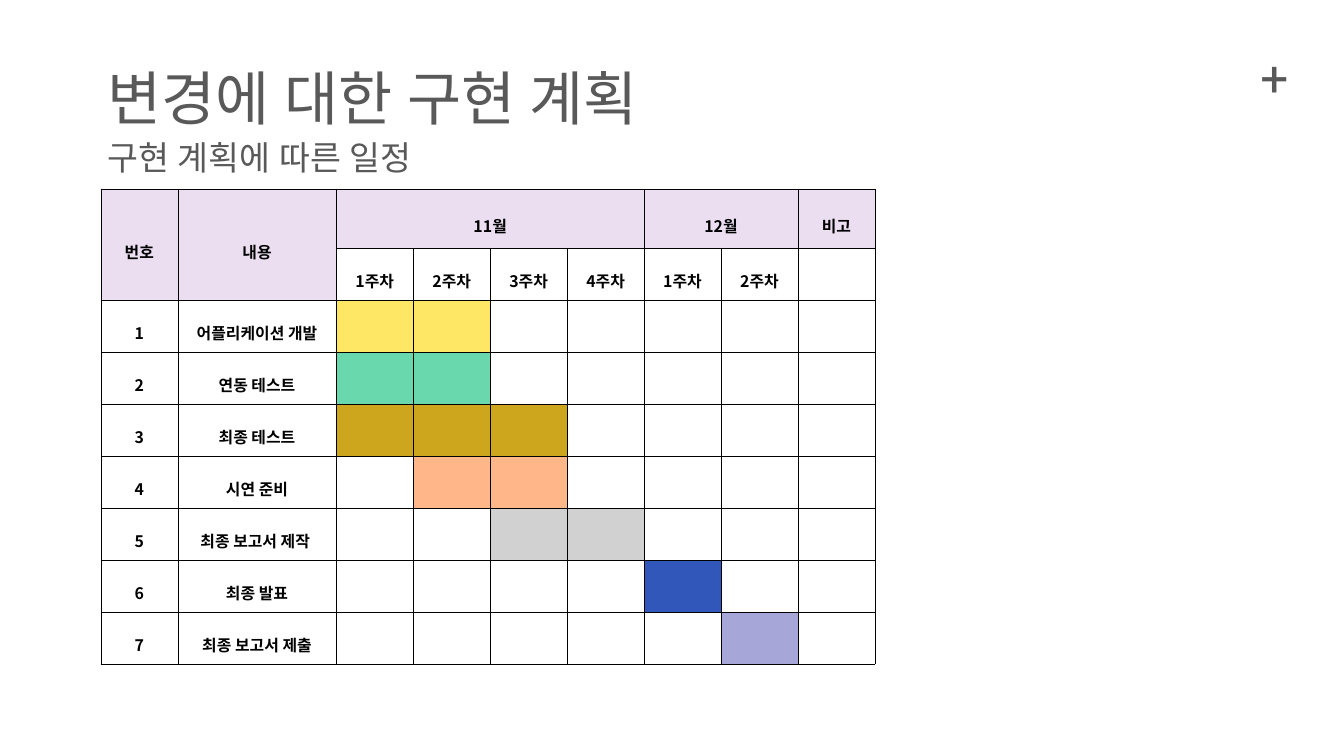
from lxml import etree
from pptx import Presentation
from pptx import util as u
from pptx.dml.color import RGBColor
from pptx.enum import text
from pptx.oxml.ns import qn

COLORS = {
    "text": "595959", "ink": "000000", "header": "EBDEF1",
    "yellow": "FFE766", "green": "69D8AD", "gold": "CEA61D", "peach": "FFB689",
    "gray": "D1D1D1", "blue": "3057B9", "violet": "A6A7D8",
}
MONTHS = [("11월", 4), ("12월", 2)]
TASKS = [
    ("어플리케이션 개발", 0, 2, "yellow"),
    ("연동 테스트", 0, 2, "green"),
    ("최종 테스트", 0, 3, "gold"),
    ("시연 준비", 1, 2, "peach"),
    ("최종 보고서 제작 ", 2, 2, "gray"),
    ("최종 발표", 4, 1, "blue"),
    ("최종 보고서 제출", 5, 1, "violet"),
]
FIRST_WEEK = 2


def rgb(name):
    """Return the named colour."""
    return RGBColor.from_string(COLORS[name])


def write(tf, words, size, face, color, align, bold=False):
    """Set the text of a frame and format it."""
    tf.text = words
    p = tf.paragraphs[0]
    p.alignment = align
    p.space_before = u.Pt(0)
    r = p.runs[0]
    r.font.size = u.Pt(size)
    r.font.bold = bold
    r.font.name = face
    r.font.color.rgb = rgb(color)
    latin = r.font._element.find(qn("a:latin"))
    ea = etree.Element(qn("a:ea"), typeface=face)
    latin.addnext(ea)
    return p


def add_heading(sp, box, words, size, face, inset, align):
    """Place one heading in its box."""
    sp.left, sp.top, sp.width, sp.height = (u.Inches(v) for v in box)
    tf = sp.text_frame
    tf.word_wrap = True
    tf.auto_size = text.MSO_AUTO_SIZE.NONE
    tf.vertical_anchor = text.MSO_ANCHOR.TOP
    tf.margin_top = u.Inches(inset)
    write(tf, words, size, face, "text", align)


def set_borders(cell):
    """Draw a thin line on each side of a cell."""
    tcPr = cell._tc.get_or_add_tcPr()
    for i, side in enumerate(("a:lnL", "a:lnR", "a:lnT", "a:lnB")):
        ln = etree.Element(qn(side), w=str(u.Pt(0.28)))
        fill = etree.SubElement(ln, qn("a:solidFill"))
        etree.SubElement(fill, qn("a:srgbClr"), val=COLORS["ink"])
        tcPr.insert(i, ln)


def fill_cell(cell, color):
    """Give a cell a solid colour."""
    cell.fill.solid()
    cell.fill.fore_color.rgb = rgb(color)


def label(cell, words, mx=0.12, my=0.03):
    """Write a centred bold label in a cell."""
    cell.margin_left = cell.margin_right = u.Inches(mx)
    cell.margin_top = cell.margin_bottom = u.Inches(my)
    cell.vertical_anchor = text.MSO_ANCHOR.MIDDLE
    p = write(cell.text_frame, words, 17, "Noto Sans CJK KR", "ink",
              text.PP_ALIGN.CENTER, True)
    p.line_spacing = 1.6


def header(table, row, col, rows, cols, words):
    """Merge a header block, colour it and label it."""
    for i in range(row, row + rows):
        for j in range(col, col + cols):
            fill_cell(table.cell(i, j), "header")
    cell = table.cell(row, col)
    if rows * cols > 1:
        cell.merge(table.cell(row + rows - 1, col + cols - 1))
        label(cell, words, 0.17, 0.08)
    else:
        label(cell, words)


def add_schedule(slide, box, name_width=2.36, head_height=0.88):
    """Build the weekly schedule table inside the box."""
    left, top, width, height = box
    weeks = sum(count for _, count in MONTHS)
    n_rows, n_cols = len(TASKS) + 2, weeks + 3
    table = slide.shapes.add_table(n_rows, n_cols, *(u.Inches(v) for v in box)).table
    table.first_row = table.horz_banding = False
    for j, column in enumerate(table.columns):
        column.width = u.Inches(name_width if j == 1 else (width - name_width) / (n_cols - 1))
    for i, row in enumerate(table.rows):
        row.height = u.Inches(head_height if i == 0 else (height - head_height) / (n_rows - 1))
    for cell in table.iter_cells():
        cell.fill.background()
        set_borders(cell)

    header(table, 0, 0, 2, 1, "번호")
    header(table, 0, 1, 2, 1, "내용")
    col = FIRST_WEEK
    for month, count in MONTHS:
        header(table, 0, col, 1, count, month)
        for week in range(count):
            label(table.cell(1, col + week), f"{week + 1}주차")
        col += count
    header(table, 0, col, 1, 1, "비고")

    for number, (task, start, count, color) in enumerate(TASKS, 1):
        row = number + 1
        label(table.cell(row, 0), str(number))
        label(table.cell(row, 1), task)
        for week in range(start, start + count):
            fill_cell(table.cell(row, FIRST_WEEK + week), color)


def main():
    """Build the schedule slide and save it."""
    prs = Presentation()
    prs.slide_width, prs.slide_height = u.Inches(20), u.Inches(11.25)
    slide = prs.slides.add_slide(prs.slide_layouts[0])
    plus = slide.shapes.add_textbox(0, 0, 0, 0)
    justify, center = text.PP_ALIGN.JUSTIFY, text.PP_ALIGN.CENTER
    add_heading(plus, (18.56, 0.6, 0.81, 1.37), "+", 53, "Roboto", 0.1, center)
    add_heading(slide.shapes.title, (1.5, 0.82, 11.65, 1.68),
                "변경에 대한 구현 계획", 63, "Roboto", 0.1, justify)
    add_heading(slide.placeholders[1], (1.5, 1.99, 9.76, 0.87),
                "구현 계획에 따른 일정", 36, "Lato", 0.05, justify)
    add_schedule(slide, (1.5, 2.81, 11.52, 7.07))
    prs.save("out.pptx")


if __name__ == "__main__":
    main()
